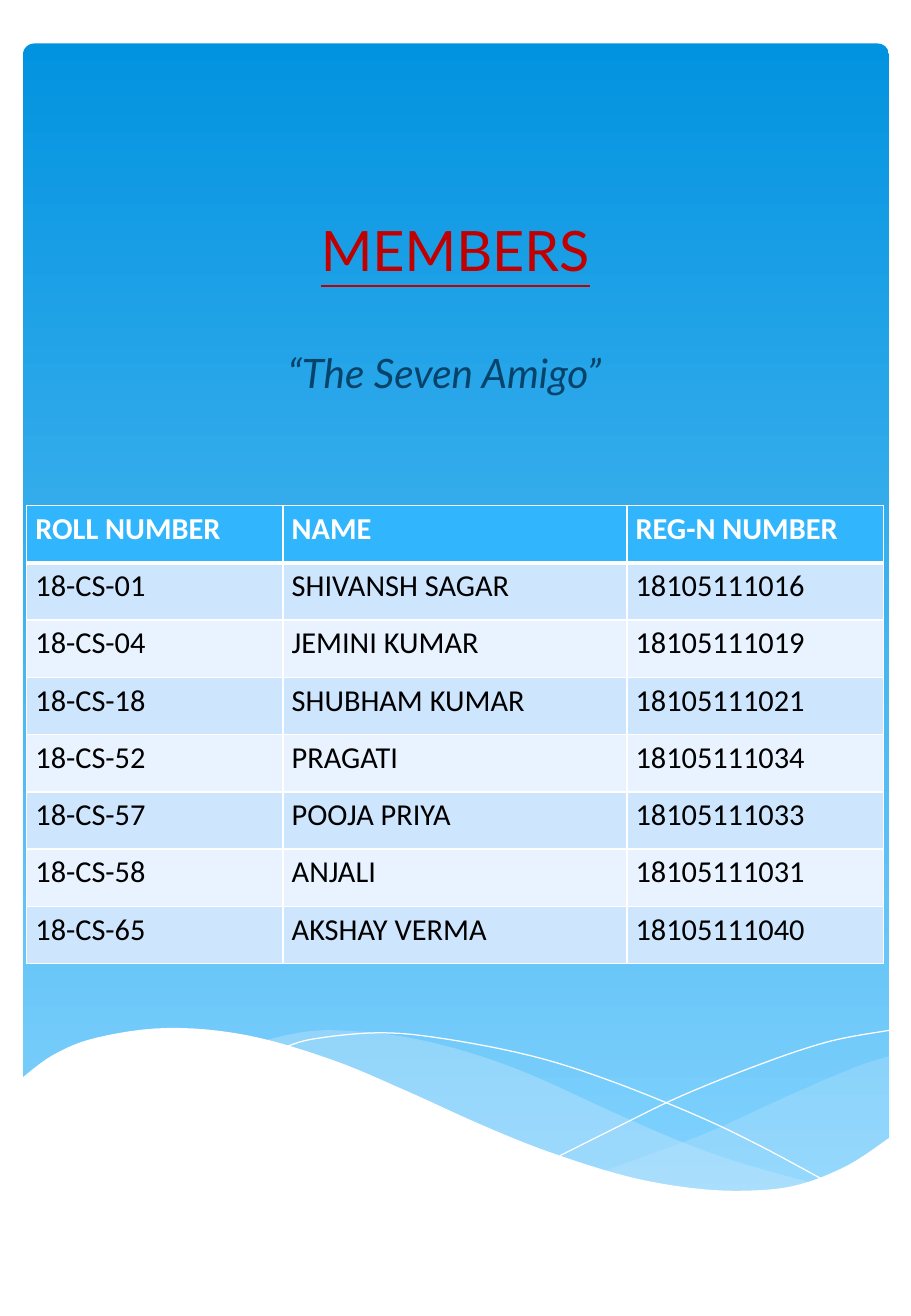
from lxml import etree
from pptx import Presentation
from pptx import util as u
from pptx.dml.color import RGBColor
from pptx.enum import shapes, text
from pptx.oxml.ns import qn

COLORS = {
    "sky_top": "0293E0", "sky_bottom": "83D3FE", "wave": "C6E7FC", "white": "FFFFFF",
    "title": "C00000", "subtitle": "06436B", "header": "31B6FD",
    "odd_row": "CEE5FE", "even_row": "E8F3FF", "black": "000000",
}
HEADINGS = [
    ("MEMBERS", (1.42, 4.24, 16.2, 1.8), 33, "title", text.MSO_ANCHOR.BOTTOM),
    ("“The Seven Amigo”", (1.42, 7.16, 15.75, 7.8), 24, "subtitle", text.MSO_ANCHOR.TOP),
]
MEMBERS = [
    ("ROLL NUMBER", "NAME", "REG-N NUMBER"),
    ("18-CS-01", "SHIVANSH SAGAR", "18105111016"),
    ("18-CS-04", "JEMINI KUMAR", "18105111019"),
    ("18-CS-18", "SHUBHAM KUMAR", "18105111021"),
    ("18-CS-52", "PRAGATI", "18105111034"),
    ("18-CS-57", "POOJA PRIYA", "18105111033"),
    ("18-CS-58", "ANJALI", "18105111031"),
    ("18-CS-65", "AKSHAY VERMA", "18105111040"),
]
COLUMN_WIDTHS = [5.36, 7.19, 5.36]
RIGHT_HILL = [
    [(18.62, 22.07), (17.83, 22.33), (16.41, 22.94), (14.86, 23.65), (13.46, 24.18), (12.62, 24.49)],
    [(12.62, 24.49), (13.72, 24.74), (15.11, 24.92), (16.1, 24.89), (17.12, 24.66),
     (17.98, 24.26), (18.62, 23.83)],
]
MIDDLE_HILL = [
    [(5.46, 21.77), (6.25, 21.59), (7.06, 21.54), (8.43, 21.67), (9.8, 22), (11.13, 22.48),
     (12.75, 23.22), (14.15, 23.83), (15.39, 24.28), (17.02, 24.74)],
    [(17.02, 24.74), (16.36, 24.89), (15.49, 24.97), (14.5, 24.89), (13.26, 24.66),
     (11.79, 24.23), (10.11, 23.57), (8.56, 22.89), (7.32, 22.33), (5.46, 21.77)],
]
FALLING_LINE = [[(5.89, 21.92), (6.55, 21.72), (7.95, 21.59), (9.32, 21.72), (11.1, 22.07),
                 (12.67, 22.56), (14.5, 23.29), (15.85, 23.93), (17.3, 24.71)]]
RISING_LINE = [[(11.71, 24.16), (12.83, 23.6), (14.25, 22.91), (15.95, 22.23),
                (17.35, 21.77), (18.59, 21.54)]]
FRONT_WAVE = [
    [(0.43, 22.56), (1.12, 22.05), (2.03, 21.69), (3.5, 21.49), (5.16, 21.64), (6.93, 22.15),
     (8.51, 22.81), (10.08, 23.52), (11.48, 24.08), (13.11, 24.59), (14.5, 24.84),
     (15.67, 24.89), (16.69, 24.77), (17.73, 24.36), (18.62, 23.77)],
    [(18.62, 26.82), (0.43, 26.82)],
]
WAVES = [
    (RIGHT_HILL, "wave", 29),
    (MIDDLE_HILL, "wave", 40),
    (FALLING_LINE, None, None),
    (RISING_LINE, None, None),
    (FRONT_WAVE, "white", 100),
]
CURVE_STEPS = 6


def rgb(name):
    return RGBColor.from_string(COLORS[name])


def smooth(knots):
    padded = [knots[0], *knots, knots[-1]]
    points = [knots[0]]
    for a, b, c, d in zip(padded, padded[1:], padded[2:], padded[3:]):
        for step in range(1, CURVE_STEPS + 1):
            t = step / CURVE_STEPS
            points.append(tuple(
                (2 * q + (r - p) * t + (2 * p - 5 * q + 4 * r - s) * t ** 2
                 + (3 * q - p - 3 * r + s) * t ** 3) / 2
                for p, q, r, s in zip(a, b, c, d)))
    return points


def add_sky(slide):
    sky = slide.shapes.add_shape(shapes.MSO_SHAPE.ROUNDED_RECTANGLE,
                                 u.Cm(0.48), u.Cm(0.91), u.Cm(18.11), u.Cm(24.21))
    sky.adjustments[0] = 0.013
    sky.shadow.inherit = False
    sky.line.fill.background()
    sky.fill.gradient()
    sky.fill.gradient_angle = 270
    for stop, position, color in zip(sky.fill.gradient_stops, (0, 1), ("sky_top", "sky_bottom")):
        stop.position = position
        stop.color.rgb = rgb(color)


def add_wave(slide, edges, color, opacity):
    points = [(u.Cm(x), u.Cm(y)) for edge in edges for x, y in smooth(edge)]
    builder = slide.shapes.build_freeform(*points[0])
    builder.add_line_segments(points[1:], close=color is not None)
    wave = builder.convert_to_shape()
    wave.shadow.inherit = False
    if color is None:
        wave.fill.background()
        wave.line.color.rgb = rgb("white")
        wave.line.width = u.Pt(0)
        return
    wave.line.fill.background()
    wave.fill.solid()
    wave.fill.fore_color.rgb = rgb(color)
    if opacity < 100:
        paint = wave.fill._xPr.find(qn("a:solidFill"))[0]
        etree.SubElement(paint, qn("a:alpha"), val=str(opacity * 1000))


def style_run(run, font_name, size, color):
    run.font.name = font_name
    run.font.size = u.Pt(size)
    run.font.color.rgb = rgb(color)


def add_heading(slide, words, place, size, color, anchor):
    box = slide.shapes.add_textbox(*map(u.Cm, place))
    frame = box.text_frame
    frame.word_wrap = True
    frame.vertical_anchor = anchor
    frame.text = words
    paragraph = frame.paragraphs[0]
    paragraph.alignment = text.PP_ALIGN.CENTER
    run = paragraph.runs[0]
    style_run(run, "Lato", size, color)
    run.font.underline = color == "title"
    run.font.italic = color == "subtitle"


def add_borders(cell, widths):
    properties = cell._tc.get_or_add_tcPr()
    for side, width in widths.items():
        line = etree.SubElement(properties, qn(f"a:ln{side}"), w=str(u.Pt(width)))
        paint = etree.SubElement(line, qn("a:solidFill"))
        etree.SubElement(paint, qn("a:srgbClr"), val=COLORS["white"])


def add_members(slide):
    table = slide.shapes.add_table(len(MEMBERS), len(COLUMN_WIDTHS), u.Cm(0.56), u.Cm(10.57),
                                   u.Cm(sum(COLUMN_WIDTHS)), u.Cm(9.58)).table
    for column, width in zip(table.columns, COLUMN_WIDTHS):
        column.width = u.Cm(width)
    for row, values in enumerate(MEMBERS):
        is_header = row == 0
        fill = "header" if is_header else "odd_row" if row % 2 else "even_row"
        for column, value in enumerate(values):
            cell = table.cell(row, column)
            cell.margin_left = cell.margin_right = u.Cm(0.18)
            cell.margin_top = cell.margin_bottom = u.Cm(0.1)
            add_borders(cell, {"L": 1, "R": 1, "T": 3 if row == 1 else 1, "B": 3 if is_header else 1})
            cell.fill.solid()
            cell.fill.fore_color.rgb = rgb(fill)
            cell.text_frame.text = value
            run = cell.text_frame.paragraphs[0].runs[0]
            style_run(run, "Calibri", 18, "white" if is_header else "black")
            run.font.bold = is_header


def main():
    presentation = Presentation()
    presentation.slide_width = u.Cm(19.05)
    presentation.slide_height = u.Cm(27.51)
    slide = presentation.slides.add_slide(presentation.slide_layouts[6])
    add_sky(slide)
    for wave in WAVES:
        add_wave(slide, *wave)
    for heading in HEADINGS:
        add_heading(slide, *heading)
    add_members(slide)
    presentation.save("out.pptx")


if __name__ == "__main__":
    main()
